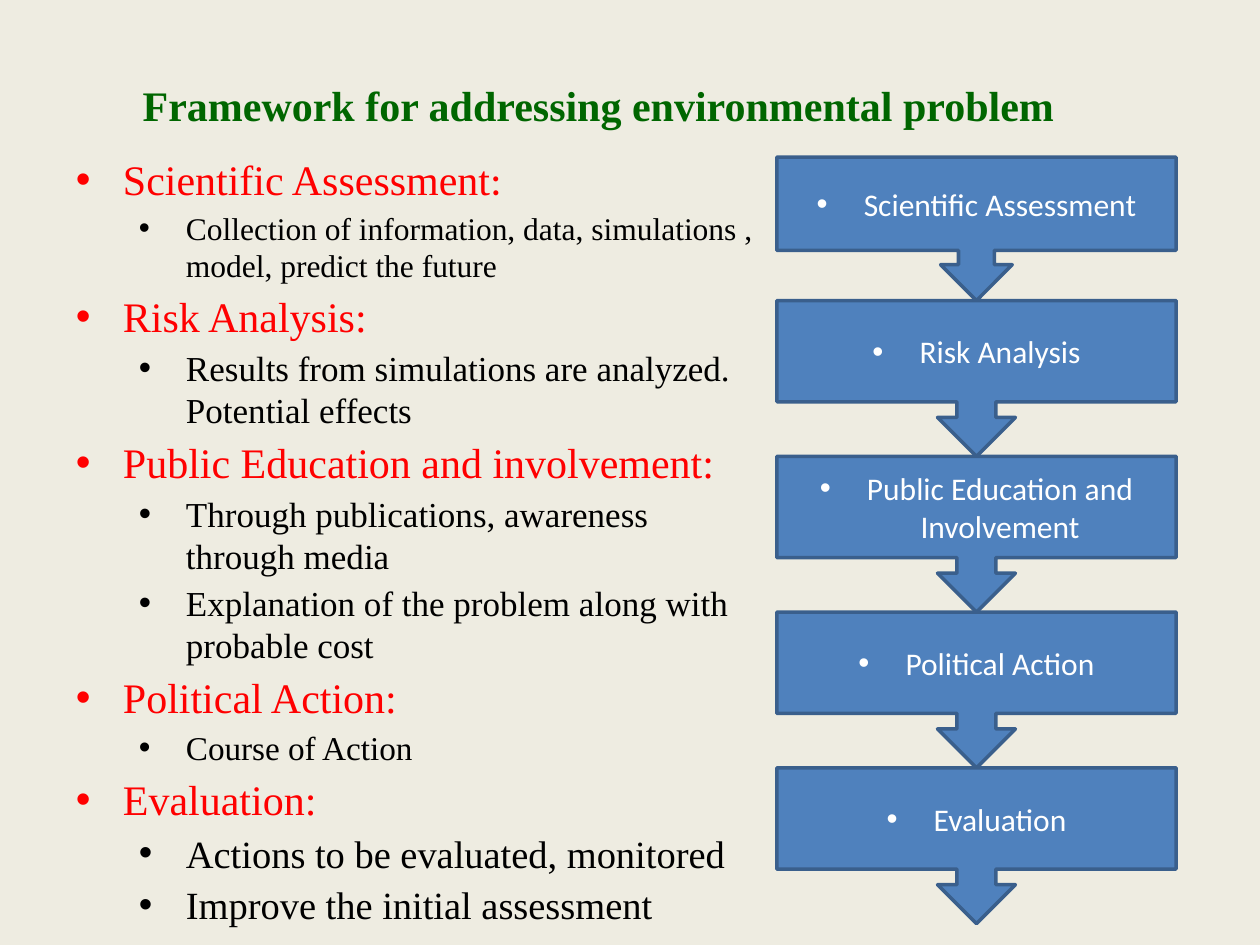
import pptx
import pptx.util
import pptx.dml.color
import pptx.enum.shapes
import pptx.enum.text
import lxml.etree

Cm = pptx.util.Cm
Pt = pptx.util.Pt
ALIGN = pptx.enum.text.PP_ALIGN
ANCHOR = pptx.enum.text.MSO_ANCHOR
SERIF = "Times New Roman"


def paint(color, code):
    color.rgb = pptx.dml.color.RGBColor.from_string(code)


def style(para, name, size, code, left=None):
    if left is not None:
        props = para._p.get_or_add_pPr()
        props.set("marL", str(Cm(left)))
        props.set("indent", str(-Cm(0.95)))
        face = lxml.etree.SubElement(props, pptx.oxml.ns.qn("a:buFont"))
        face.set("typeface", "Arial")
        mark = lxml.etree.SubElement(props, pptx.oxml.ns.qn("a:buChar"))
        mark.set("char", "•")
    para.font.name = name
    para.font.size = Pt(size)
    paint(para.font.color, code)


deck = pptx.Presentation()
deck.slide_width = Cm(25.4)
deck.slide_height = Cm(19.05)
slide = deck.slides.add_slide(deck.slide_layouts[6])
slide.background.fill.solid()
paint(slide.background.fill.fore_color, "EEECE1")

title = slide.shapes.add_textbox(Cm(1.27), Cm(0.76), Cm(21.8), Cm(1.98)).text_frame
title.word_wrap = True
title.vertical_anchor = ANCHOR.BOTTOM
head = title.paragraphs[0]
head.text = "Framework for addressing environmental problem "
head.alignment = ALIGN.CENTER
style(head, SERIF, 24, "006600")
head.font.bold = True

points = [
    (0, 24, "Scientific Assessment"),
    (1, 18, "Collection of information, data, simulations , model, predict the future"),
    (0, 24, "Risk Analysis:"),
    (1, 20, "Results from simulations are analyzed. Potential effects"),
    (0, 24, "Public Education and involvement:"),
    (1, 20, "Through publications, awareness through media"),
    (1, 20, "Explanation of the problem along with probable cost"),
    (0, 24, "Political Action:"),
    (1, 19, "Course of Action"),
    (0, 24, "Evaluation:"),
    (1, 22, "Actions to be evaluated, monitored"),
    (1, 22, "Improve the initial assessment"),
]
body = slide.shapes.add_textbox(Cm(1.27), Cm(2.97), Cm(14.18), Cm(15.67)).text_frame
body.word_wrap = True
for i, (level, size, text) in enumerate(points):
    para = body.add_paragraph() if i else body.paragraphs[0]
    para.text = text
    para.level = level
    style(para, SERIF, size, ("FF0000", "000000")[level], 0.96 + 1.27 * level)
    if i:
        para.space_before = Pt(round(size * 0.15, 1))
colon = body.paragraphs[0].add_run()
colon.text = ":"
colon.font.name = "Calibri"

steps = [
    "Scientific Assessment",
    "Risk Analysis",
    "Public Education and Involvement",
    "Political Action",
    "Evaluation",
]
flow = slide.shapes.add_group_shape()
top = 3.17
for i, text in enumerate(steps):
    high = 3.14 if i else 2.89
    box = flow.shapes.add_shape(
        pptx.enum.shapes.MSO_SHAPE.DOWN_ARROW_CALLOUT,
        Cm(15.66), Cm(top), Cm(8.05), Cm(high))
    top += high
    box.shadow.inherit = False
    box.fill.solid()
    paint(box.fill.fore_color, "4F81BD")
    paint(box.line.color, "3A5F8C")
    box.line.width = Pt(2)
    frame = box.text_frame
    frame.word_wrap = True
    frame.vertical_anchor = ANCHOR.MIDDLE
    para = frame.paragraphs[0]
    para.text = text
    para.alignment = ALIGN.CENTER
    style(para, "Calibri", 18, "FFFFFF", 0.95)

deck.save("out.pptx")
